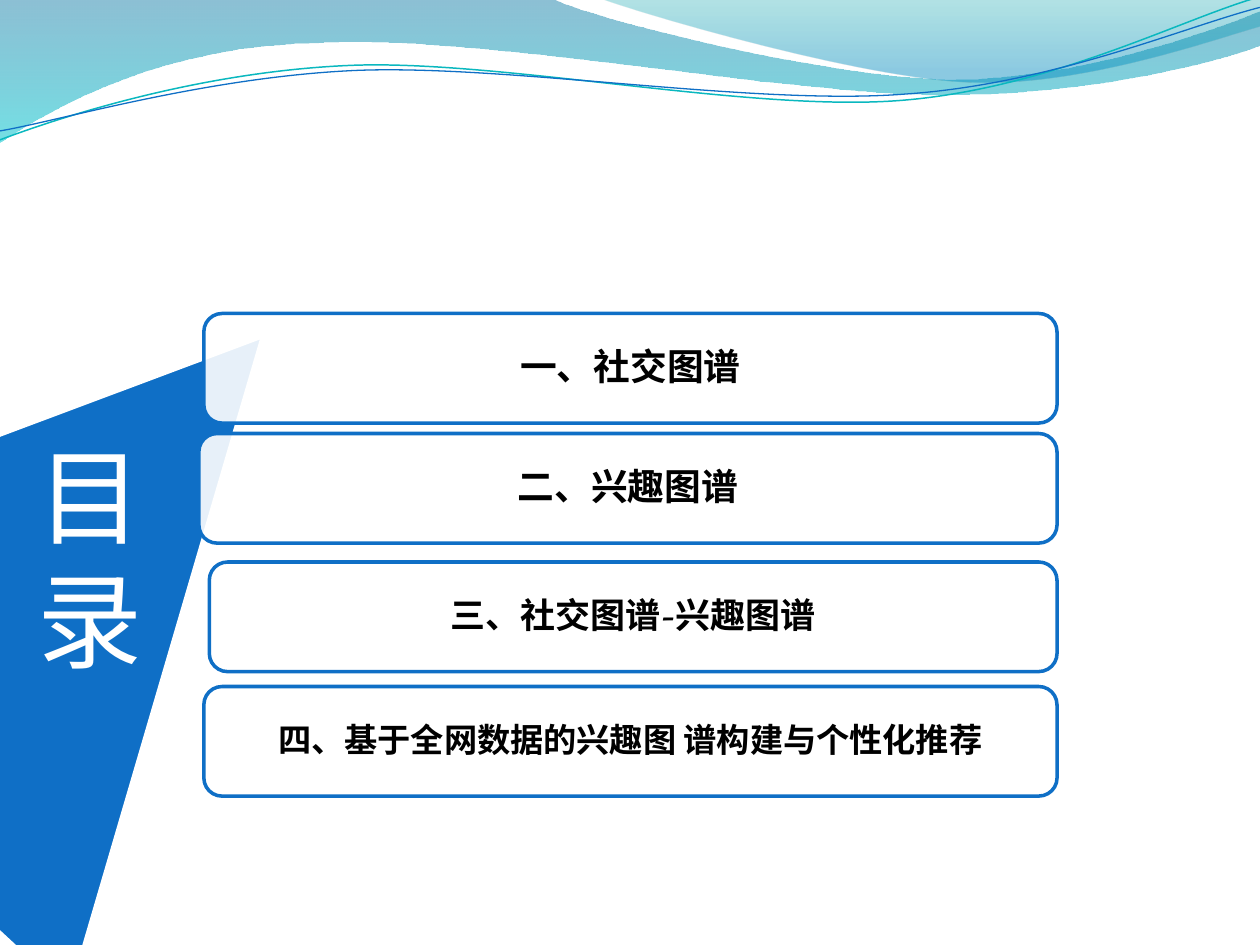
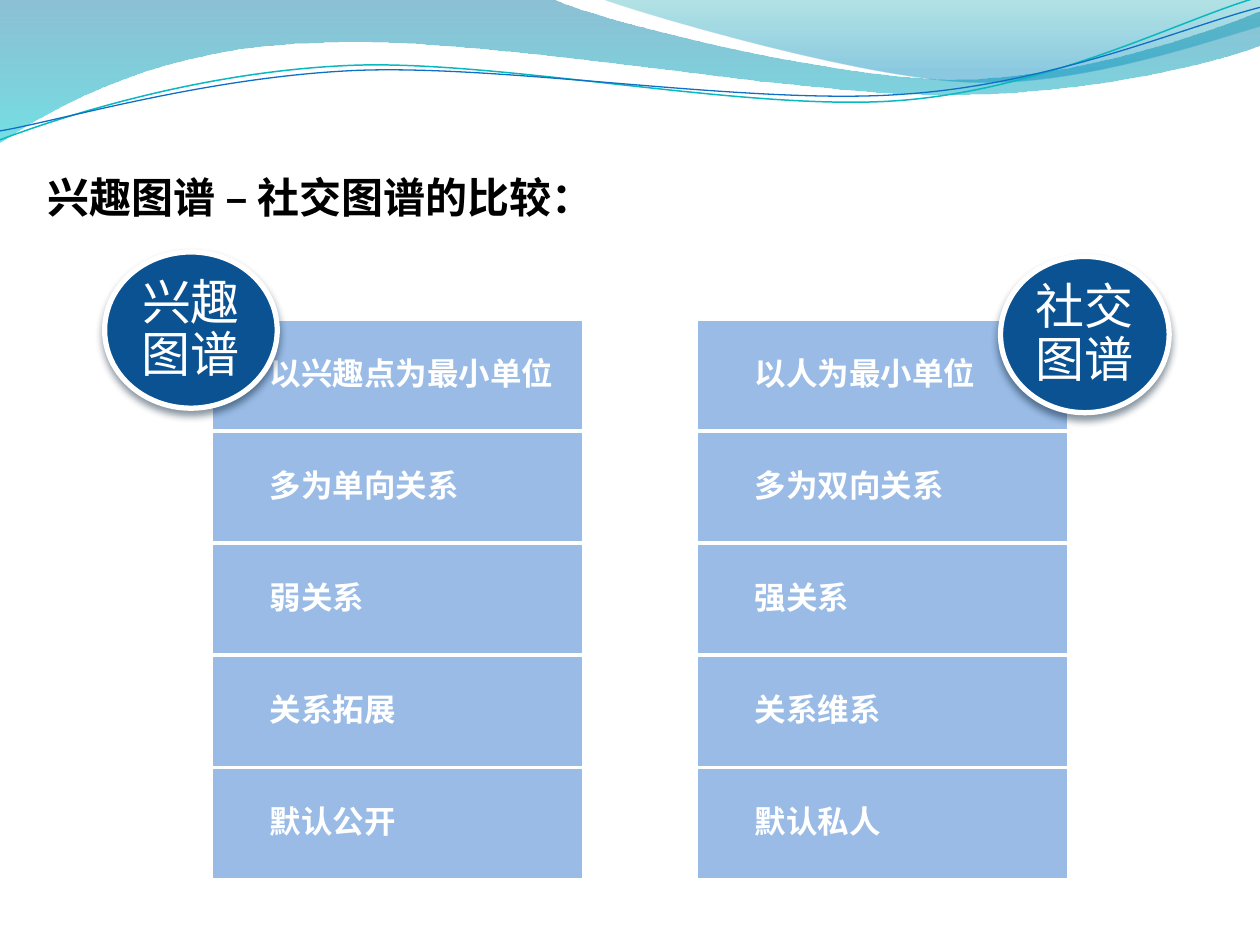
from pptx import Presentation
from pptx.dml.color import RGBColor
from pptx.enum.lang import MSO_LANGUAGE_ID
from pptx.enum.shapes import MSO_SHAPE
from pptx.enum.text import MSO_ANCHOR, MSO_AUTO_SIZE, PP_ALIGN
from pptx.oxml import parse_xml
from pptx.oxml.ns import nsdecls, qn
from pptx.oxml.xmlchemy import OxmlElement
from pptx.util import Cm, Pt

LEFT, CENTER = PP_ALIGN.LEFT, PP_ALIGN.CENTER
MIDDLE = MSO_ANCHOR.MIDDLE
NO_AUTOFIT = MSO_AUTO_SIZE.NONE
CHINESE = MSO_LANGUAGE_ID.SIMPLIFIED_CHINESE
RECTANGLE, ROUNDED = MSO_SHAPE.RECTANGLE, MSO_SHAPE.ROUNDED_RECTANGLE
OVAL, TRIANGLE = MSO_SHAPE.OVAL, MSO_SHAPE.ISOSCELES_TRIANGLE

LATIN_FONT = "Vollkorn"
CHINESE_FONT = "Noto Sans CJK JP"
TITLE_ONLY = 5

COLORS = {
    "white": "FFFFFF",
    "black": "000000",
    "blue": "0F6FC6",
    "navy": "0B5292",
    "cell": "8EB4E3",
    "teal": "0AB8BF",
    "shadow": "031D34",
}

WAVES = [
    {
        "start": (0, 0),
        "segments": [
            [(11.18, 0)],
            [(12.09, 0.43), (16.87, 1.6), (19.25, 1.6)],
            [(21.67, 1.6), (24.33, 0.66), (25.4, 0.23)],
            [(25.4, 0.91)],
            [(24.97, 1.12), (22.1, 1.93), (18.95, 1.91)],
            [(15.8, 1.91), (9.7, 0.71), (6.53, 0.86)],
            [(3.28, 0.91), (1.17, 2.11), (0, 2.87)],
        ],
        "stops": [(0, "0074A1", 45), (1, "00C6CF", 55)],
    },
    {
        "start": (12.17, 0),
        "segments": [
            [(12.93, 0.28), (17.32, 1.57), (19.53, 1.65)],
            [(21.74, 1.75), (24.41, 0.81), (25.4, 0.53)],
            [(25.4, 0)],
        ],
        "stops": [(0, "00A1A9", 30), (0.8, "008BBF", 45)],
    },
    {
        "start": (0, 2.82),
        "segments": [
            [(1.22, 2.36), (4.01, 1.45), (7.04, 1.32)],
            [(10.03, 1.19), (15.06, 2.26), (18.11, 2.03)],
            [(21.16, 1.8), (23.83, 0.38), (25.35, -0.05)],
        ],
        "line": ("teal", 0.85),
    },
    {
        "start": (0, 2.64),
        "segments": [
            [(1.19, 2.44), (4.17, 1.55), (7.19, 1.42)],
            [(10.24, 1.3), (15.16, 2.13), (18.21, 1.9)],
            [(21.23, 1.7), (23.9, 0.53), (25.4, 0.15)],
        ],
        "line": ("blue", 0.75),
    },
]

AGENDA = [
    ("一、社交图谱", 4.11, 6.32, 21),
    ("二、兴趣图谱", 4.01, 8.74, 21),
    ("三、社交图谱-兴趣图谱", 4.22, 11.33, 20),
    ("四、基于全网数据的兴趣图 谱构建与个性化推荐", 4.11, 13.84, 19),
]
AGENDA_RIGHT, AGENDA_HEIGHT = 21.31, 2.21

COMPARISON = [
    {
        "name": "兴趣图谱",
        "left": 4.25,
        "badge": (2.11, 5.08, 3.48, 3.15),
        "traits": ["以兴趣点为最小单位", "多为单向关系", "弱关系", "关系拓展", "默认公开"],
    },
    {
        "name": "社交图谱",
        "left": 14.03,
        "badge": (20.17, 5.17, 3.4, 3.15),
        "traits": ["以人为最小单位", "多为双向关系", "强关系", "关系维系", "默认私人"],
    },
]
TRAIT_TOP, TRAIT_WIDTH, TRAIT_HEIGHT = 6.43, 7.52, 2.26


def color(name):
    return RGBColor.from_string(COLORS[name])


def set_alpha(color_element, percent):
    alpha = OxmlElement("a:alpha")
    alpha.set("val", str(percent * 1000))
    color_element.append(alpha)


class DeckBuilder:
    def __init__(self):
        self.deck = Presentation()
        self.deck.slide_width, self.deck.slide_height = Cm(25.4), Cm(19.05)
        self.page = None

    def add_page(self):
        layout = self.deck.slide_layouts[TITLE_ONLY]
        self.page = self.deck.slides.add_slide(layout)

    def add_wave(self, start, segments, stops=None, line=None):
        builder = self.page.shapes.build_freeform(*map(Cm, start))
        points = [(Cm(x), Cm(y)) for segment in segments for x, y in segment]
        builder.add_line_segments(points, close=stops is not None)
        wave = builder.convert_to_shape()
        wave.shadow.inherit = False
        self.bend(wave, segments)
        if stops:
            wave.line.fill.background()
            wave.fill.gradient()
            wave.fill.gradient_angle = 270
            for stop, (position, value, _) in zip(wave.fill.gradient_stops, stops):
                stop.position = position
                stop.color.rgb = RGBColor.from_string(value)
            for element, stop in zip(wave.element.iter(qn("a:gs")), stops):
                set_alpha(element[0], stop[2])
        else:
            wave.fill.background()
            wave.line.color.rgb = color(line[0])
            wave.line.width = Pt(line[1])
        self.deck.slide_master.shapes.element.append(wave.element)

    def bend(self, wave, segments):
        steps = iter(list(wave.element.iter(qn("a:lnTo"))))
        for segment in segments:
            group = [next(steps) for _ in segment]
            if len(group) == 3:
                curve = OxmlElement("a:cubicBezTo")
                group[0].addprevious(curve)
                for step in group:
                    curve.append(step[0])
                    step.getparent().remove(step)

    def add_box(self, kind, area, fill, line, width, opacity=100):
        box = self.page.shapes.add_shape(kind, *map(Cm, area))
        box.shadow.inherit = False
        box.fill.solid()
        box.fill.fore_color.rgb = color(fill)
        if opacity < 100:
            set_alpha(box.element.spPr.find(qn("a:solidFill"))[0], opacity)
        box.line.color.rgb = color(line)
        box.line.width = Pt(width)
        return box

    def add_badge(self, text, area):
        badge = self.add_box(OVAL, area, "navy", "white", 3)
        effects = badge.element.spPr.find(qn("a:effectLst"))
        effects.append(parse_xml(
            f'<a:outerShdw {nsdecls("a")} blurRad="{Pt(4.5)}" dist="{Pt(3)}" '
            f'dir="5400000" rotWithShape="0"><a:srgbClr val="{COLORS["shadow"]}">'
            '<a:alpha val="48000"/></a:srgbClr></a:outerShdw>'))
        self.set_text(badge, text, 28, "white", bold=False, spacing=Pt(30), insets=(0, 0))

    def add_title(self, text, area, size, tone, **style):
        title = self.page.shapes.title
        title.left, title.top, title.width, title.height = map(Cm, area)
        self.set_text(title, text, size, tone, align=LEFT, insets=(0.25, 0.25), **style)
        self.page.shapes.element.append(title.element)

    def set_text(self, box, text, size, tone, bold=True, align=CENTER, spacing=0.9,
                 insets=(0.3, 0.3), font=LATIN_FONT):
        frame = box.text_frame
        frame.text = text
        frame.word_wrap = True
        frame.auto_size = NO_AUTOFIT
        frame.vertical_anchor = MIDDLE
        frame.margin_left, frame.margin_right = map(Cm, insets)
        frame.margin_top = frame.margin_bottom = 0
        para = frame.paragraphs[0]
        para.alignment = align
        para.line_spacing = spacing
        span = para.runs[0]
        span.font.name = font
        span.font.size = Pt(size)
        span.font.bold = bold
        span.font.color.rgb = color(tone)
        span.font.language_id = CHINESE
        for properties in box.element.iter(qn("a:rPr")):
            east_asian = OxmlElement("a:ea")
            east_asian.set("typeface", CHINESE_FONT)
            properties.append(east_asian)


def build_agenda(builder):
    builder.add_page()
    for wave in WAVES:
        builder.add_wave(**wave)
    pointer = builder.add_box(TRIANGLE, (-5.13, 5.13, 12.4, 12.4), "blue", "white", 2)
    pointer.rotation = 42.9
    for text, left, top, size in AGENDA:
        area = (left, top, AGENDA_RIGHT - left, AGENDA_HEIGHT)
        item = builder.add_box(ROUNDED, area, "white", "blue", 2, opacity=90)
        builder.set_text(item, text, size, "black")
    builder.add_title("目录", (0.51, 8.55, 3.2, 5.38), 60, "white",
                      bold=False, spacing=Pt(71), font=CHINESE_FONT)


def build_comparison(builder):
    builder.add_page()
    for graph in COMPARISON:
        for row, trait in enumerate(graph["traits"]):
            area = (graph["left"], TRAIT_TOP + row * TRAIT_HEIGHT, TRAIT_WIDTH, TRAIT_HEIGHT)
            cell = builder.add_box(RECTANGLE, area, "cell", "white", 2, opacity=90)
            builder.set_text(cell, trait, 18, "white", align=LEFT, insets=(1.19, 0.36))
        builder.add_badge(graph["name"], graph["badge"])
    builder.add_title("兴趣图谱 – 社交图谱的比较：", (0.71, 3.33, 11.3, 1.27), 24, "black",
                      spacing=1.0)


def main():
    builder = DeckBuilder()
    build_agenda(builder)
    build_comparison(builder)
    builder.deck.save("out.pptx")


if __name__ == "__main__":
    main()
